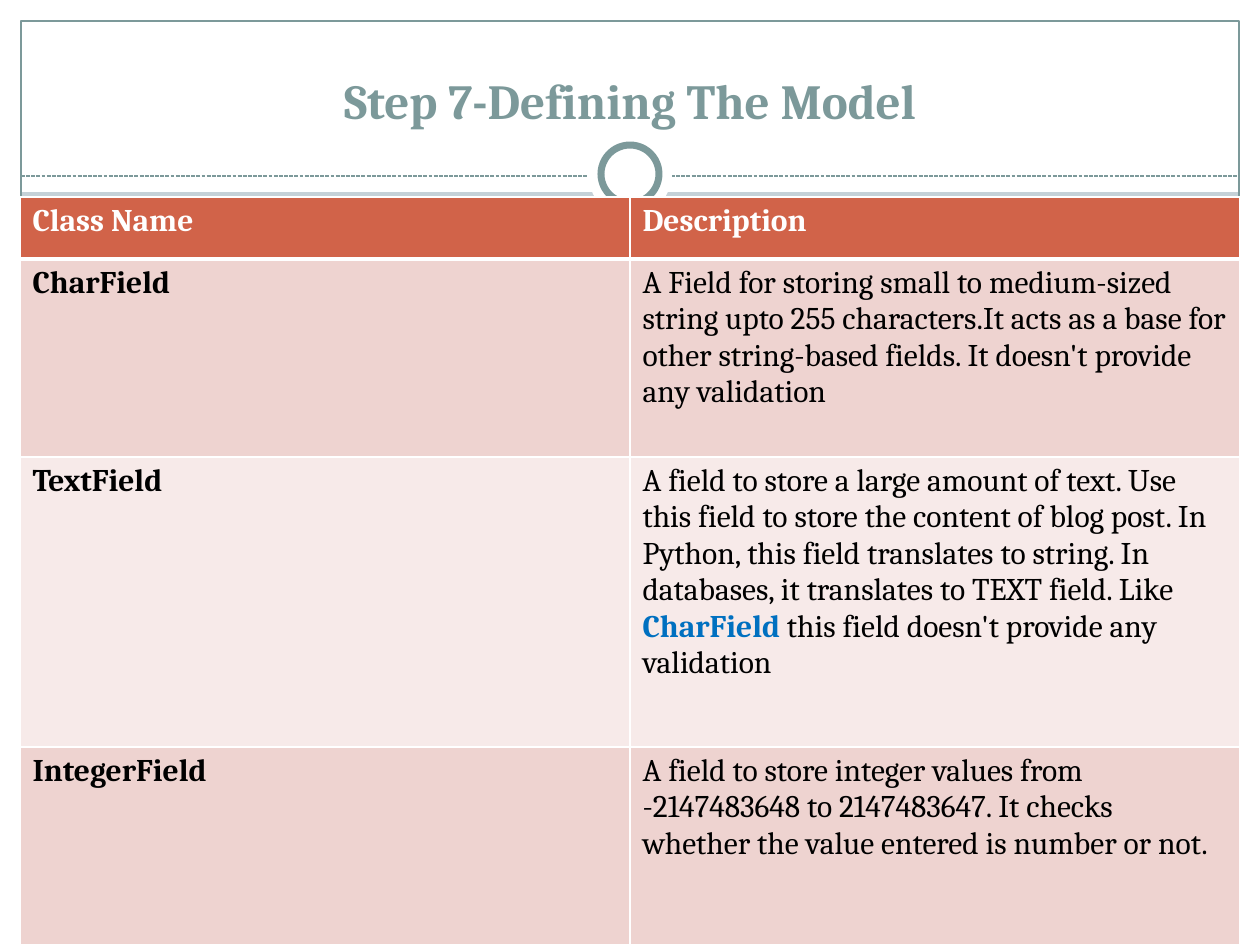
from pptx import Presentation
from pptx.dml.color import RGBColor
from pptx.enum.dml import MSO_LINE as Dash
from pptx.enum.shapes import MSO_CONNECTOR as Conn, MSO_SHAPE as Geo
from pptx.enum.text import MSO_ANCHOR as Anchor, PP_ALIGN as Align
from pptx.oxml.ns import qn
from pptx.util import Emu, Pt
from lxml.etree import SubElement as Sub

SCALE = 914400 / 126
WHITE, BLACK, TEAL, BLUE = "FFFFFF", "000000", "7C999A", "0070C0"
RUST, ROSE, PALE = "D16349", "EED3D0", "F7EAE9"


def px(n):
    return Emu(round(n * SCALE))


def rgb(code):
    return RGBColor.from_string(code)


def write(para, text, size=18, color=BLACK, bold=False, face="Cambria"):
    run = para.add_run()
    run.text = text
    font = run.font
    font.name, font.size, font.bold = face, Pt(size), bold
    font.color.rgb = rgb(color)


def edge(cell, side, width):
    line = Sub(cell._tc.get_or_add_tcPr(), qn("a:" + side), w=str(Pt(width)))
    fill = Sub(line, qn("a:solidFill"))
    Sub(fill, qn("a:srgbClr"), val=WHITE)


class Deck:
    def __init__(self, wide, high, back):
        self.file = Presentation()
        self.file.slide_width, self.file.slide_height = px(wide), px(high)
        self.slide = self.file.slides.add_slide(self.file.slide_layouts[6])
        self.slide.background.fill.solid()
        self.slide.background.fill.fore_color.rgb = rgb(back)
        self.shapes = self.slide.shapes

    def shape(self, box, fill=None, line=None, width=0.75, geo=Geo.RECTANGLE):
        item = self.shapes.add_shape(geo, *map(px, box))
        item.shadow.inherit = False
        if fill:
            item.fill.solid()
            item.fill.fore_color.rgb = rgb(fill)
        else:
            item.fill.background()
        if line:
            item.line.color.rgb = rgb(line)
            item.line.width = Pt(width)
        else:
            item.line.fill.background()

    def rule(self, ends, color, width=0.75):
        item = self.shapes.add_connector(Conn.STRAIGHT, *map(px, ends))
        item.line.color.rgb = rgb(color)
        item.line.width = Pt(width)
        item.line.dash_style = Dash.SQUARE_DOT
        Sub(item._element.spPr, qn("a:effectLst"))

    def title(self, box, text):
        frame = self.shapes.add_textbox(*map(px, box)).text_frame
        frame.word_wrap = True
        frame.vertical_anchor = Anchor.BOTTOM
        para = frame.paragraphs[0]
        para.alignment = Align.CENTER
        write(para, text, size=28, color=TEAL, bold=True)

    def cell(self, cell, runs, fill, base):
        for text, style in runs:
            write(cell.text_frame.paragraphs[0], text, **style)
        for side, width in zip(("lnL", "lnR", "lnT", "lnB"), (1, 1, 1, base)):
            edge(cell, side, width)
        cell.fill.solid()
        cell.fill.fore_color.rgb = rgb(fill)

    def table(self, left, top, cols, highs, rows):
        grid = self.shapes.add_table(len(rows), len(cols), px(left), px(top),
                                     px(sum(cols)), px(sum(highs))).table
        for col, wide in zip(grid.columns, cols):
            col.width = px(wide)
        for i, (row, high) in enumerate(zip(rows, highs)):
            grid.rows[i].height = px(high)
            fill = RUST if i == 0 else ROSE if i % 2 else PALE
            for j, runs in enumerate(row):
                self.cell(grid.cell(i, j), runs, fill, 1 if i else 3)


def main():
    deck = Deck(1260, 945, "C5D1D7")
    for box in ((0, 924, 1260, 21), (0, 0, 1260, 192),
                (0, 0, 21, 945), (1239, 0, 21, 945)):
        deck.shape(box, WHITE)
    deck.shape((20, 881, 1218, 43), "8CADAE")
    deck.shape((21, 21, 1218, 903), line=TEAL)
    deck.rule((21, 176, 1239, 176), TEAL)
    deck.shape((588, 132, 84, 84), WHITE, geo=Geo.OVAL)
    deck.shape((601, 145, 58, 58), WHITE, TEAL, 4, Geo.OVAL)
    deck.title((42, 32, 1176, 104), "Step 7-Defining The Model")

    head, name = {"color": WHITE, "bold": True}, {"bold": True}
    rows = [
        ([("Class Name", head)], [("Description", head)]),
        ([("CharField", name)],
         [("A Field for storing small to medium-sized string upto 255 "
           "characters.It acts as a base for other string-based fields. "
           "It doesn't provide any validation", {})]),
        ([("TextField", name)],
         [("A field to store a large amount of text. Use this field to store "
           "the content of blog post. In Python, this field translates to "
           "string. In databases, it translates to TEXT field. Like ", {}),
          ("CharField", {"color": BLUE, "bold": True}),
          (" this field doesn't provide any validation", {})]),
        ([("IntegerField", name)],
         [("A field to store integer values from -2147483648 to 2147483647. "
           "It checks whether the value entered is number or not.", {})]),
    ]
    deck.table(20, 197, (610, 610), (62, 198, 290, 198), rows)
    deck.file.save("out.pptx")


if __name__ == "__main__":
    main()
